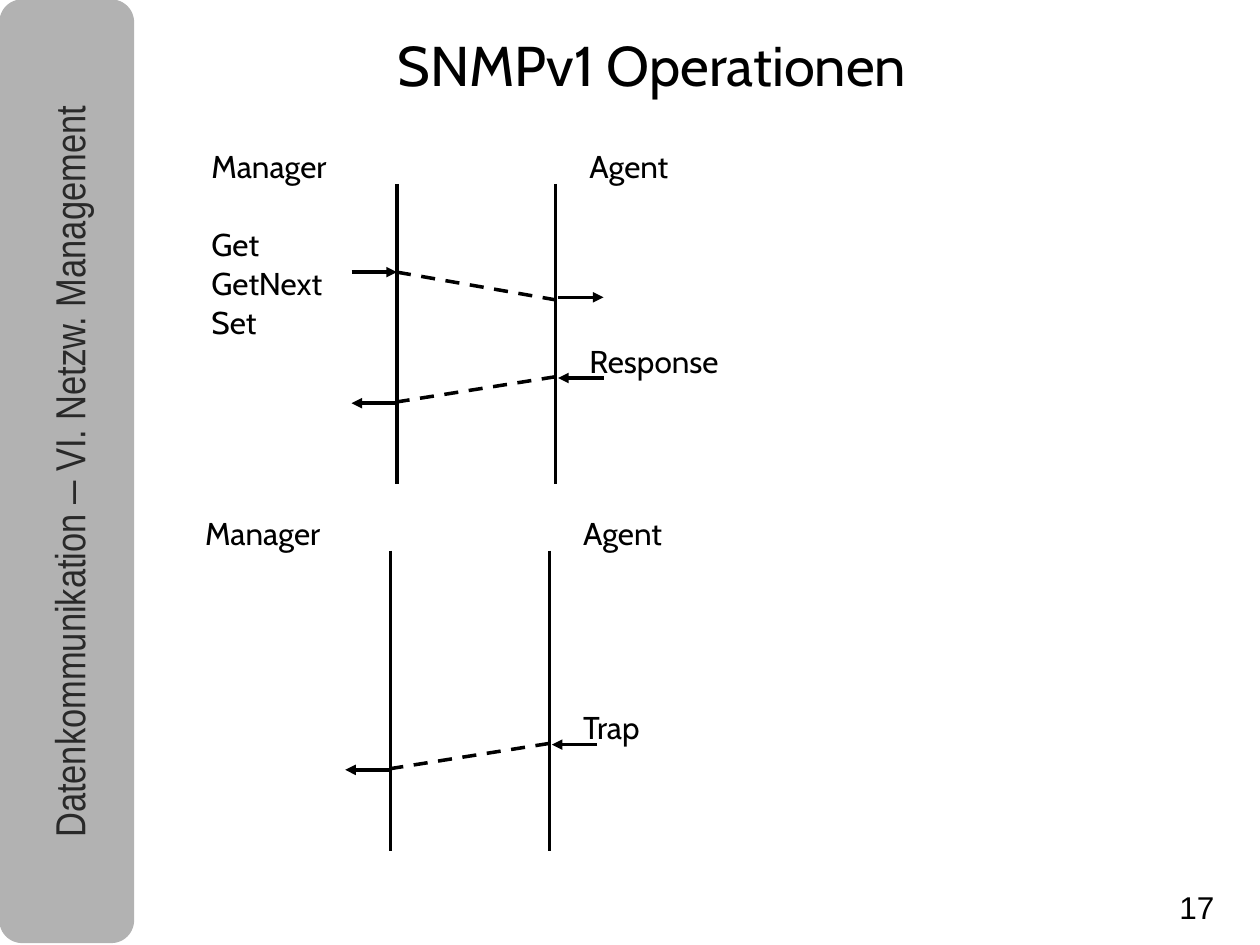
from lxml.etree import SubElement
from pptx import Presentation
from pptx.dml.color import RGBColor
from pptx.enum.dml import MSO_LINE_DASH_STYLE as Dash
from pptx.enum.shapes import MSO_CONNECTOR as Connector, MSO_SHAPE as Shape
from pptx.enum.text import MSO_ANCHOR as Anchor, PP_ALIGN as Align
from pptx.oxml.ns import qn
from pptx.util import Inches, Pt

BLACK, GREY, DARK = "000000", "B2B2B2", "292929"
MANAGER_X, AGENT_X, STUB = 3.15, 4.41, 0.36
LABEL_PITCH = 22.2


def rgb(value):
    return RGBColor.from_string(value)


def style_font(font, name, size, color=BLACK):
    font.name = name
    font.size = Pt(size)
    font.bold = False
    font.color.rgb = rgb(color)


def add_text(slide, left, top, width, height):
    box = slide.shapes.add_textbox(
        Inches(left), Inches(top), Inches(width), Inches(height))
    box.text_frame.word_wrap = True
    return box


def add_line(slide, start, end, dashed=False, arrow=False):
    line = slide.shapes.add_connector(
        Connector.STRAIGHT, *(Inches(value) for value in (*start, *end)))
    line.line.color.rgb = rgb(BLACK)
    line.line.width = Pt(0)
    if dashed:
        line.line.dash_style = Dash.DASH
    properties = line._element.spPr
    if arrow:
        SubElement(properties.find(qn("a:ln")), qn("a:tailEnd"), type="triangle")
    SubElement(properties, qn("a:effectLst"))


def add_sidebar(slide):
    bar = slide.shapes.add_shape(
        Shape.ROUNDED_RECTANGLE, 0, 0, Inches(1.06), Inches(7.48))
    bar.shadow.inherit = False
    bar.fill.solid()
    bar.fill.fore_color.rgb = rgb(GREY)
    bar.line.color.rgb = rgb(GREY)
    bar.line.width = Pt(0.74)

    course = add_text(slide, -2.93, 3.25, 7.48, 0.99)
    course.rotation = 270
    heading = course.text_frame.paragraphs[0]
    heading.alignment = Align.CENTER
    heading.line_spacing = 0.98
    for words, font_name in (("Datenkommunikation ", "Arial Narrow"),
                             ("–", "Arial"),
                             (" VI. Netzw. Management", "Arial Narrow")):
        run = heading.add_run()
        run.text = words
        style_font(run.font, font_name, 24, DARK)


def add_title(slide, words):
    title = slide.shapes.title
    title.left, title.top = Inches(2.13), Inches(0.19)
    title.width, title.height = Inches(6.09), Inches(0.63)
    title.text_frame.text = words
    title.text_frame.vertical_anchor = Anchor.MIDDLE
    heading = title.text_frame.paragraphs[0]
    heading.alignment = Align.CENTER
    style_font(heading.font, "Cabin", 32)


def add_page_number(slide, number):
    frame = add_text(slide, 9.36, 7.05, 0.5, 0.33).text_frame
    frame.margin_left = frame.margin_right = 0
    frame.margin_top = frame.margin_bottom = 0
    frame.text = number
    style_font(frame.paragraphs[0].font, "Arial", 18)


def add_labels(slide, left, top, labels):
    frame = add_text(slide, left, top, 8.06, 3.01).text_frame
    for index, (words, skipped_lines) in enumerate(labels):
        label = frame.paragraphs[0] if index == 0 else frame.add_paragraph()
        label.text = words
        label.line_spacing = 1.03
        label.space_before = Pt(skipped_lines * LABEL_PITCH)
        style_font(label.font, "Cabin", 18)
        tabs = SubElement(label._p.get_or_add_pPr(), qn("a:tabLst"))
        SubElement(tabs, qn("a:tab"), pos=str(Inches(3)), algn="l")


def add_request(slide, dx, dy):
    manager, agent = MANAGER_X + dx, AGENT_X + dx
    sent, received = 2.16 + dy, 2.36 + dy
    add_line(slide, (manager - STUB, sent), (manager, sent), arrow=True)
    add_line(slide, (manager, sent), (agent, received + 0.02), dashed=True)
    add_line(slide, (agent + 0.02, received), (agent + 0.02 + STUB, received),
             arrow=True)


def add_reply(slide, dx, dy):
    manager, agent = MANAGER_X + dx, AGENT_X + dx
    sent, received = 3 + dy, 3.2 + dy
    add_line(slide, (agent + 0.02 + STUB, sent), (agent + 0.02, sent), arrow=True)
    add_line(slide, (agent, sent - 0.01), (manager, received - 0.01), dashed=True)
    add_line(slide, (manager, received), (manager - STUB, received), arrow=True)


def add_exchange(slide, dx, dy, labels, messages):
    add_labels(slide, 1.58 + dx, 1.11 + dy, labels)
    for party_x in (MANAGER_X, AGENT_X):
        add_line(slide, (party_x + dx, 1.46 + dy), (party_x + dx, 3.84 + dy))
    for add_message in messages:
        add_message(slide, dx, dy)


def main():
    deck = Presentation()
    deck.slide_width, deck.slide_height = Inches(10), Inches(7.5)
    slide = deck.slides.add_slide(deck.slide_layouts[5])
    add_sidebar(slide)
    add_title(slide, "SNMPv1 Operationen")
    add_page_number(slide, "17")
    parties = ("Manager\tAgent", 0)
    add_exchange(slide, 0, 0,
                 [parties, ("Get", 1), ("GetNext", 0), ("Set", 0),
                  ("\tResponse", 0)],
                 [add_request, add_reply])
    add_exchange(slide, -0.05, 2.91, [parties, ("\tTrap", 4)], [add_reply])
    deck.save("out.pptx")


main()
